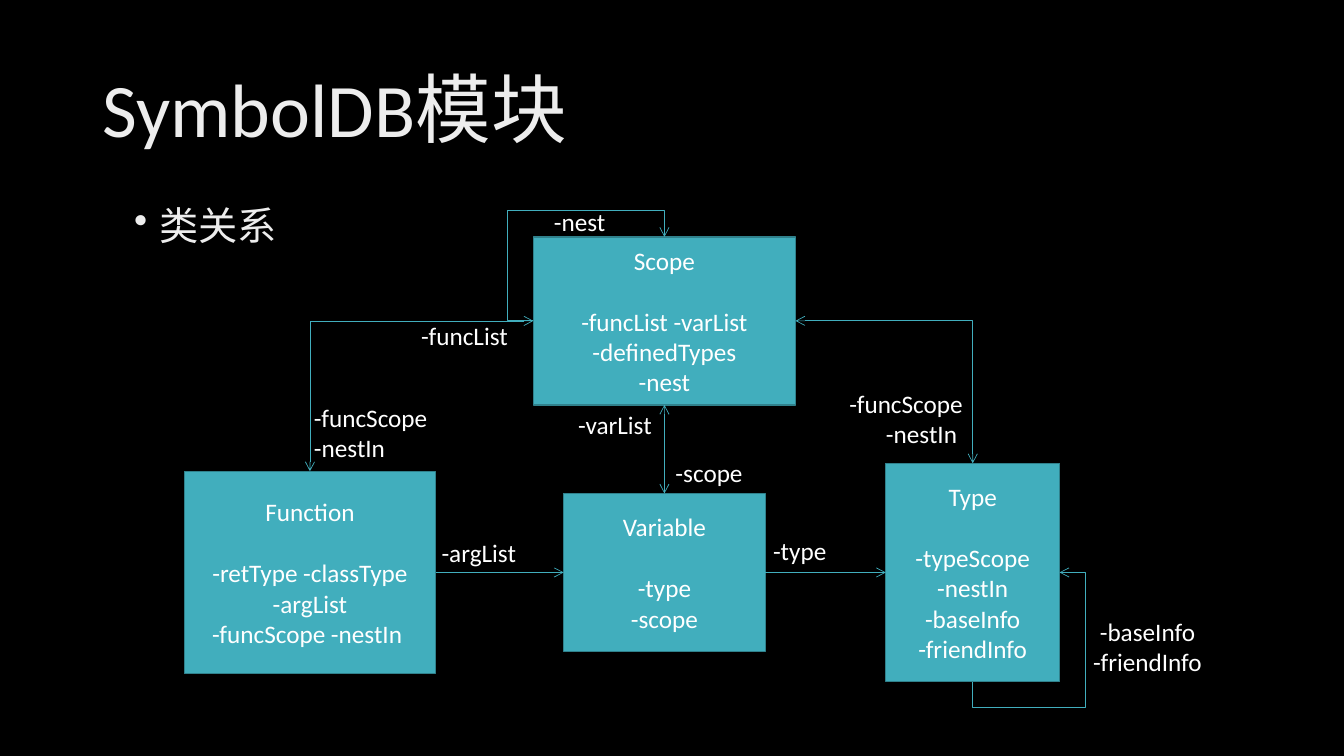
from lxml.etree import SubElement
from pptx import Presentation
from pptx.dml.color import RGBColor
from pptx.enum.shapes import MSO_CONNECTOR, MSO_SHAPE
from pptx.enum.text import MSO_ANCHOR, PP_ALIGN
from pptx.oxml.ns import qn
from pptx.util import Inches, Pt

COLS, ROWS = 160, 90
TOP, LEFT, BOTTOM, RIGHT = range(4)
TEAL, EDGE, WHITE, PALE = "41AEBD", "30818C", "FFFFFF", "EDEDED"


def rgb(value):
    return RGBColor.from_string(value)


def assign(target, values):
    for name, value in values.items():
        setattr(target, name, value)


class Board:
    def __init__(self, prs):
        self.cell_w = prs.slide_width / COLS
        self.cell_h = prs.slide_height / ROWS
        self.s = prs.slides.add_slide(prs.slide_layouts[6])
        fill = self.s.background.fill
        fill.solid()
        fill.fore_color.rgb = rgb("000000")

    def place(self, x, y, w, h):
        return [int(n) for n in (x * self.cell_w, y * self.cell_h,
                                 w * self.cell_w, h * self.cell_h)]

    def fill_text(self, sp, lines, size=18, color=WHITE, anchor=MSO_ANCHOR.TOP, **fmt):
        tf = sp.text_frame
        assign(tf, {"word_wrap": True, "vertical_anchor": anchor})
        for i, line in enumerate(lines):
            p = tf.paragraphs[0] if i == 0 else tf.add_paragraph()
            assign(p, fmt)
            r = p.add_run()
            r.text = line
            assign(r.font, {"name": "Calibri", "size": Pt(size)})
            r.font.color.rgb = rgb(color)
        return tf.paragraphs

    def text(self, frame, lines, **fmt):
        sp = self.s.shapes.add_textbox(*self.place(*frame))
        return self.fill_text(sp, lines, **fmt)

    def bullet(self, frame, line, **fmt):
        for p in self.text(frame, [line], **fmt):
            pPr = p._p.get_or_add_pPr()
            pPr.set("marL", str(Inches(0.25)))
            pPr.set("indent", str(-Inches(0.25)))
            SubElement(pPr, qn("a:buChar")).set("char", "•")

    def box(self, cx, cy, w, h, name, members):
        frame = self.place(cx - w / 2, cy - h / 2, w, h)
        sp = self.s.shapes.add_shape(MSO_SHAPE.RECTANGLE, *frame)
        sp.shadow.inherit = False
        sp.fill.solid()
        sp.fill.fore_color.rgb = rgb(TEAL)
        sp.line.color.rgb = rgb(EDGE)
        sp.line.width = Pt(1)
        ps = self.fill_text(sp, [name, *members], anchor=MSO_ANCHOR.MIDDLE,
                            alignment=PP_ALIGN.CENTER)
        ps[0].space_after = Pt(22)
        return sp

    def link(self, start, start_site, end, end_site, ends, bend=None, adj=()):
        cxn = self.s.shapes.add_connector(MSO_CONNECTOR.STRAIGHT, 0, 0, 0, 0)
        cxn.begin_connect(start, start_site)
        cxn.end_connect(end, end_site)
        cxn.line.color.rgb = rgb(TEAL)
        cxn.line.width = Pt(0.5)
        spPr = cxn._element.spPr
        if bend:
            geom = spPr.find(qn("a:prstGeom"))
            geom.set("prst", bend)
            for i, share in enumerate(adj, 1):
                gd = SubElement(geom.get_or_add_avLst(), qn("a:gd"))
                gd.set("name", f"adj{i}")
                gd.set("fmla", f"val {round(share * 100000)}")
        for end_tag in ends:
            SubElement(cxn.line._get_or_add_ln(), qn(f"a:{end_tag}")).set("type", "arrow")
        SubElement(spPr, qn("a:effectLst"))


prs = Presentation()
assign(prs, {"slide_width": Inches(13.33), "slide_height": Inches(7.5)})
board = Board(prs)

board.text((11, 4.8, 138, 17.4), ["SymbolDB模块"], size=54, color=PALE,
           anchor=MSO_ANCHOR.MIDDLE, line_spacing=0.9)
board.bullet((14.8, 24, 24, 6.7), "类关系", size=28, color=PALE, line_spacing=0.9)

MID, LOW = 79.1, 68.15
scope = board.box(MID, 38.2, 31.2, 20, "Scope",
                  ["-funcList -varList", "-definedTypes", "-nest"])
variable = board.box(MID, LOW, 24, 18.8, "Variable", ["-type", "-scope"])
function = board.box(36.9, LOW, 29.9, 24.1, "Function",
                     ["-retType -classType", "-argList", "-funcScope -nestIn "])
type_box = board.box(115.8, LOW, 20.7, 26, "Type",
                     ["-typeScope", "-nestIn", "-baseInfo", "-friendInfo"])

ONE, BOTH = ["tailEnd"], ["headEnd", "tailEnd"]
board.link(scope, LEFT, scope, TOP, ONE, "bentConnector4", (-0.2, 1.31))
board.link(type_box, RIGHT, type_box, BOTTOM, ["headEnd"], "bentConnector4", (-0.3, 1.24))
board.link(scope, LEFT, function, TOP, BOTH, "bentConnector2")
board.link(scope, RIGHT, type_box, TOP, BOTH, "bentConnector2")
board.link(variable, TOP, scope, BOTTOM, BOTH)
board.link(function, RIGHT, variable, LEFT, ONE)
board.link(variable, RIGHT, type_box, LEFT, ONE)

LINE_H = 4.8
for x, y, w, label in [
    (48.1, 37.6, 14.4, "-funcList"),
    (62, 24, 14, "-nest"),
    (66.2, 48.2, 14, "-varList"),
    (49.8, 63.4, 14.4, "-argList"),
    (77.4, 53.9, 14, "-scope"),
    (88.2, 63.2, 14, "-type"),
]:
    board.text((x, y, w, LINE_H), [label], alignment=PP_ALIGN.CENTER)

PAIR_H = 8.4
for x, y, w, lines, align in [
    (36.2, 47.3, 17.2, ["-funcScope -nestIn "], PP_ALIGN.LEFT),
    (98.6, 45.6, 17.2, ["-funcScope -nestIn "], PP_ALIGN.RIGHT),
    (128.2, 72.8, 16.8, ["-baseInfo", "-friendInfo"], PP_ALIGN.CENTER),
]:
    board.text((x, y, w, PAIR_H), lines, alignment=align)

prs.save("out.pptx")
